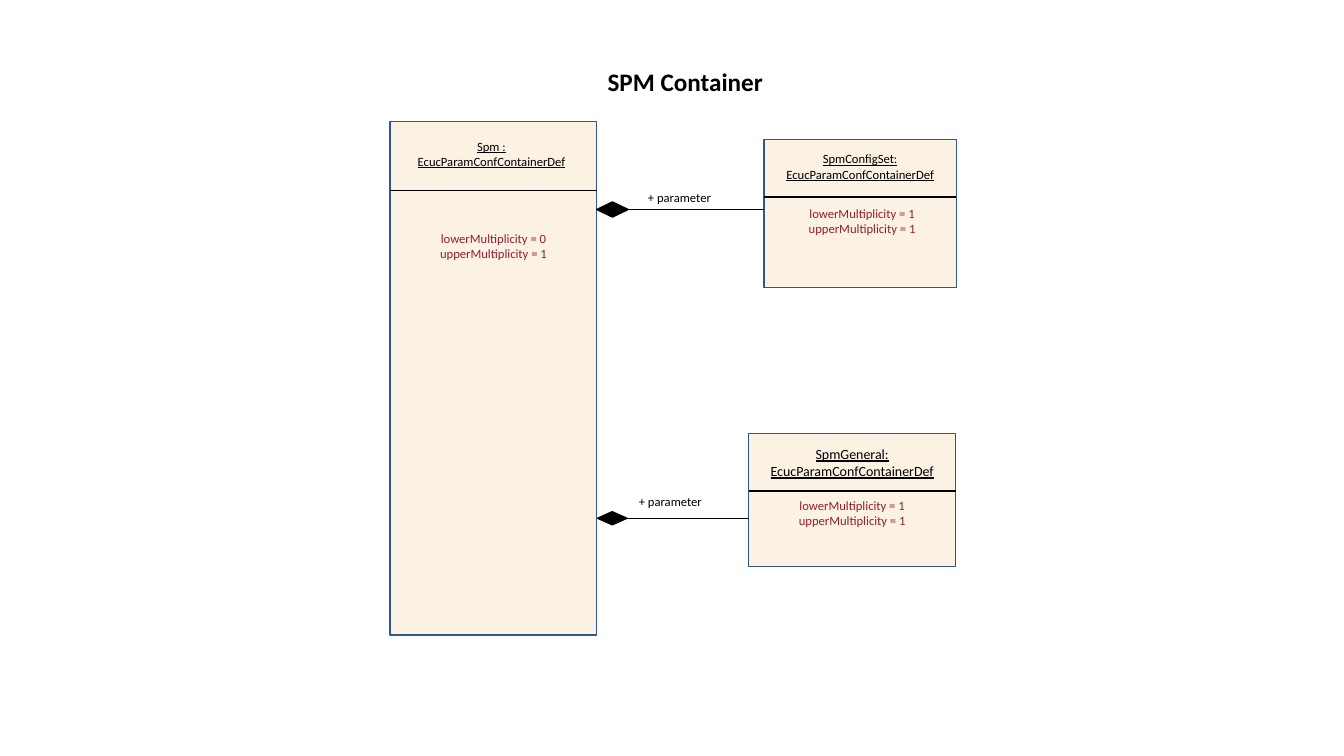
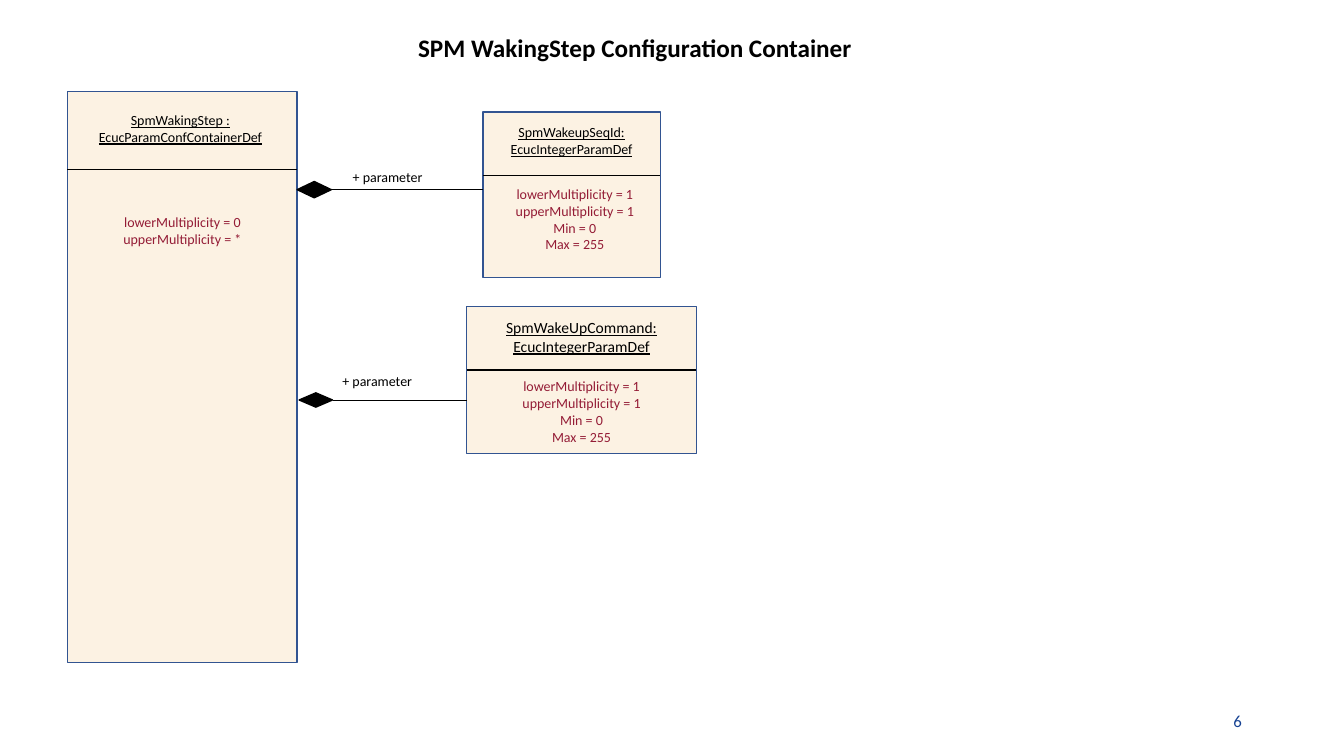
import pptx
import pptx.dml.color
import pptx.enum.shapes
import pptx.enum.text
import pptx.oxml
import pptx.oxml.ns
import pptx.util

Cm, Pt = pptx.util.Cm, pptx.util.Pt
ALIGN, ANCHOR = pptx.enum.text.PP_ALIGN, pptx.enum.text.MSO_ANCHOR
SHAPE = pptx.enum.shapes.MSO_SHAPE

FONT = "Calibri"
INK, CREAM, OUTLINE = "000000", "FCF2E3", "325491"
ATTRIBUTE_RED, NUMBER_BLUE = "941C36", "164293"


def color(hex_code):
    return pptx.dml.color.RGBColor.from_string(hex_code)


def add_text(slide, box, lines, size, ink=INK, bold=False, underline=False,
             align=ALIGN.CENTER, anchor=ANCHOR.TOP, spacing=1.0):
    frame = slide.shapes.add_textbox(*map(Cm, box)).text_frame
    frame.word_wrap = True
    frame.vertical_anchor = anchor
    for i, line in enumerate(lines):
        paragraph = frame.paragraphs[0] if i == 0 else frame.add_paragraph()
        paragraph.alignment = align
        paragraph.line_spacing = spacing
        run = paragraph.add_run()
        run.text = line
        run.font.name = FONT
        run.font.size = Pt(size)
        run.font.bold = bold
        run.font.underline = underline
        run.font.color.rgb = color(ink)


def add_block(slide, kind, box, fill, line):
    block = slide.shapes.add_shape(kind, *map(Cm, box))
    block.shadow.inherit = False
    block.fill.solid()
    block.fill.fore_color.rgb = color(fill)
    block.line.color.rgb = color(line)
    block.line.width = Pt(1)


def add_rule(slide, left, right, y, width):
    """Draw a horizontal black line."""
    rule = slide.shapes.add_connector(
        pptx.enum.shapes.MSO_CONNECTOR.STRAIGHT, Cm(left), Cm(y), Cm(right), Cm(y))
    rule.line.color.rgb = color(INK)
    rule.line.width = Pt(width)
    properties = rule.element.find(pptx.oxml.ns.qn("p:spPr"))
    properties.append(pptx.oxml.parse_xml(
        f'<a:effectLst {pptx.oxml.ns.nsdecls("a")}/>'))


def add_title(slide, box, title):
    add_text(slide, box, [title], 18, bold=True, anchor=ANCHOR.BOTTOM, spacing=0.9)


def add_page_number(slide, box, number):
    add_text(slide, box, [number], 12, ink=NUMBER_BLUE, align=ALIGN.RIGHT,
             anchor=ANCHOR.MIDDLE)


def add_definition(slide, box, name, attributes, header, attributes_top, size,
                   name_size=None, name_top=0.18, name_shift=0, attributes_shift=0):
    """Draw a class box; the header height and both text tops count from its top."""
    left, top, width, height = box
    add_block(slide, SHAPE.RECTANGLE, box, CREAM, OUTLINE)
    add_rule(slide, left, left + width, top + header, 1)
    add_text(slide, (left + name_shift, top + name_top, width, 1.1), name,
             name_size or size, underline=True)
    add_text(slide, (left + attributes_shift, top + attributes_top, width, 1.0),
             attributes, size, ink=ATTRIBUTE_RED)


def add_composition(slide, left, right, y, diamond, label_offset, size):
    """Draw a composition link whose diamond touches the owner at left."""
    width, height = diamond
    dx, dy = label_offset
    add_block(slide, SHAPE.DIAMOND, (left, y - height / 2, width, height), INK, INK)
    add_rule(slide, left + width, right, y, 0.5)
    add_text(slide, (left + dx, y + dy, 2.9, 0.65), ["+ parameter"], size,
             align=ALIGN.LEFT)


def multiplicity(lower, upper):
    return [f"lowerMultiplicity = {lower}", f"upperMultiplicity = {upper}"]


def build_spm_slide(slide):
    container = "EcucParamConfContainerDef"
    add_definition(slide, (9.83, 3.07, 5.21, 12.93), ["Spm :", container],
                   multiplicity(0, 1), header=1.73, attributes_top=2.62, size=9,
                   name_top=0.3, name_shift=-0.05)
    add_definition(slide, (18.87, 10.92, 5.21, 3.35), ["SpmGeneral:", container],
                   multiplicity(1, 1), header=1.45, attributes_top=1.5, size=9,
                   name_size=10)
    add_definition(slide, (19.25, 3.51, 4.85, 3.73), ["SpmConfigSet:", container],
                   multiplicity(1, 1), header=1.45, attributes_top=1.55, size=9,
                   attributes_shift=0.05)
    add_composition(slide, 15.06, 18.87, 13.06, (0.74, 0.33), (0.79, -0.74), 9)
    add_composition(slide, 15.04, 19.25, 5.28, (0.79, 0.38), (1.04, -0.61), 9)
    add_title(slide, (4.57, 1.24, 25.4, 1.32), "SPM Container")


def build_waking_step_slide(slide):
    integer = "EcucIntegerParamDef"
    byte_range = multiplicity(1, 1) + ["Min = 0", "Max = 255"]
    add_title(slide, (3.3, 0.48, 25.4, 1.22), "SPM WakingStep Configuration Container")
    add_page_number(slide, (23.93, 17.65, 7.62, 1.02), "6")
    add_definition(slide, (1.7, 2.31, 5.79, 14.38),
                   ["SpmWakingStep :", "EcucParamConfContainerDef"],
                   multiplicity(0, "*"), header=1.96, attributes_top=2.95, size=10,
                   name_top=0.38, name_shift=-0.05)
    add_definition(slide, (11.76, 7.72, 5.79, 3.71), ["SpmWakeUpCommand:", integer],
                   byte_range, header=1.6, attributes_top=1.68, size=10,
                   name_size=11.1)
    add_definition(slide, (12.17, 2.82, 4.47, 4.17), ["SpmWakeupSeqId:", integer],
                   byte_range, header=1.6, attributes_top=1.73, size=10,
                   attributes_shift=0.08)
    add_composition(slide, 7.54, 11.76, 10.08, (0.84, 0.36), (0.84, -0.81), 10)
    add_composition(slide, 7.49, 12.17, 4.78, (0.86, 0.41), (1.15, -0.67), 10)


def main():
    deck = pptx.Presentation()
    deck.slide_width, deck.slide_height = Cm(33.87), Cm(19.05)
    blank = deck.slide_layouts[6]
    for build in (build_spm_slide, build_waking_step_slide):
        build(deck.slides.add_slide(blank))
    deck.save("out.pptx")


if __name__ == "__main__":
    main()
